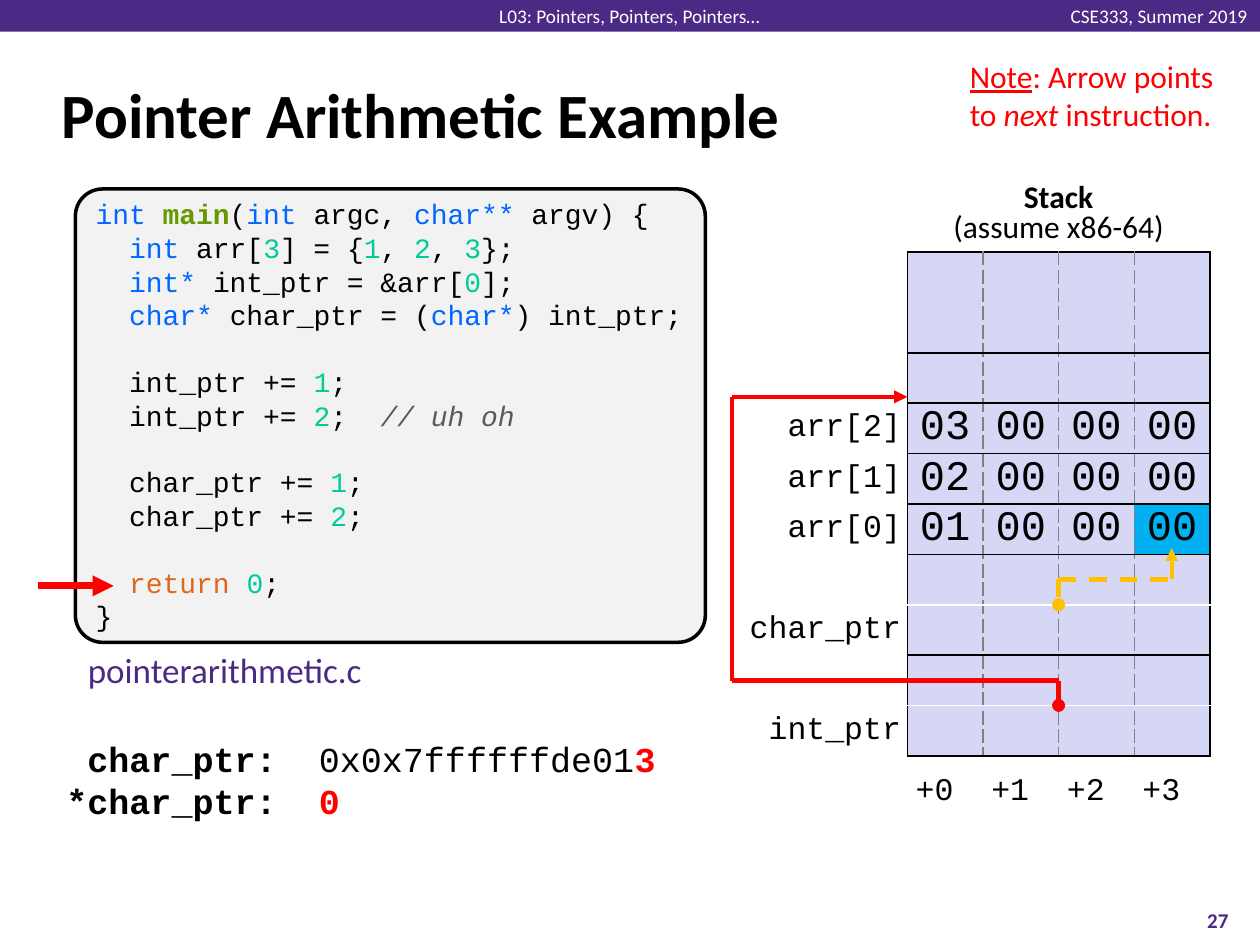
from lxml import etree
from pptx import Presentation
from pptx.dml.color import RGBColor
from pptx.enum.dml import MSO_LINE
from pptx.enum.shapes import MSO_CONNECTOR, MSO_SHAPE
from pptx.enum.text import MSO_ANCHOR, PP_ALIGN
from pptx.oxml.ns import qn
from pptx.util import Cm, Pt

LEFT, CENTER, RIGHT = PP_ALIGN.LEFT, PP_ALIGN.CENTER, PP_ALIGN.RIGHT
TOP, MIDDLE = MSO_ANCHOR.TOP, MSO_ANCHOR.MIDDLE
STRAIGHT, DASH = MSO_CONNECTOR.STRAIGHT, MSO_LINE.DASH
RECTANGLE, ROUNDED = MSO_SHAPE.RECTANGLE, MSO_SHAPE.ROUNDED_RECTANGLE

SANS, MONO = "Calibri", "Courier New"
COLORS = {
    "purple": "4B2A85", "white": "FFFFFF", "black": "000000", "red": "FF0000",
    "amber": "FFC000", "panel": "F2F2F2", "cell": "D6D6F5", "target": "00B0F0",
    "gray": "808080", "type": "0066FF", "function": "669900",
    "number": "00CC99", "comment": "5A5A5A", "keyword": "E2661A",
}
STYLES = {
    "function": {"bold": True}, "comment": {"italic": True},
    "bold": {"bold": True}, "italic": {"italic": True},
    "underline": {"underline": True}, "result": {"bold": True},
}
STYLE_COLORS = {"result": "red"}

TITLE = "Pointer Arithmetic Example"
CODE = [
    [("int ", "type"), ("main", "function"), "(", ("int ", "type"), "argc, ",
     ("char** ", "type"), "argv) {"],
    ["  ", ("int ", "type"), "arr[", ("3", "number"), "] = {", ("1", "number"), ", ",
     ("2", "number"), ", ", ("3", "number"), "};"],
    ["  ", ("int* ", "type"), "int_ptr = &arr[", ("0", "number"), "];"],
    ["  ", ("char* ", "type"), "char_ptr = (", ("char*", "type"), ") int_ptr;"],
    ["  int_ptr += ", ("1", "number"), ";"],
    ["  int_ptr += ", ("2", "number"), ";  ", ("// uh oh", "comment")],
    ["  char_ptr += ", ("1", "number"), ";"],
    ["  char_ptr += ", ("2", "number"), ";"],
    ["  ", ("return ", "keyword"), ("0", "number"), ";"],
    ["}"],
]
SECTION_STARTS = (4, 6, 8)
STACK = [
    ("", []),
    ("", []),
    ("arr[2]", ["03", "00", "00", "00"]),
    ("arr[1]", ["02", "00", "00", "00"]),
    ("arr[0]", ["01", "00", "00", "00"]),
    ("", []),
    ("char_ptr", []),
    ("", []),
    ("int_ptr", []),
]
POINTER_TOP_ROWS = (5, 7)
TARGET_CELL = (4, 4)

TEXT_BOXES = [
    dict(at=(21.29, 0.08, 4.11, 0.48), lines=[["CSE333, Summer 2019"]], size=11,
         color="white", align=RIGHT, anchor=MIDDLE, wrap=False, inset=0),
    dict(at=(9.75, 0.08, 5.89, 0.48), lines=[["L03: Pointers, Pointers, Pointers…"]], size=11,
         color="white", align=CENTER, anchor=MIDDLE, wrap=False, inset=0),
    dict(at=(23.7, 18.03, 1.7, 1.02), lines=[[("27", "bold")]], size=12,
         color="purple", align=CENTER, anchor=MIDDLE),
    dict(at=(18.29, 3.58, 6.1, 1.5), lines=[[("Stack", "bold")], ["(assume x86-64)"]],
         size=18, align=CENTER, spacing=0.8),
    dict(at=(1.09, 14.73, 12.45, 1.96), size=20, font=MONO,
         lines=[[(" char_ptr:", "bold"), "  0x0x7ffffffde01", ("3", "result")],
                [("*char_ptr:  ", "bold"), ("0", "result")]]),
    dict(at=(19.3, 1.02, 5.84, 1.8), size=18, color="red",
         lines=[[("Note", "underline"), ": Arrow points to ", ("next", "italic"),
                 " instruction."]]),
    dict(at=(1.52, 12.95, 6.35, 1.12), lines=[["pointerarithmetic.c"]], size=20,
         color="purple"),
    dict(at=(18.21, 15.37, 5.87, 1.02), lines=[["+0  +1  +2  +3"]], size=18, font=MONO,
         wrap=False),
]
ARROWS = [
    ((21.34, 11.68), (21.34, 12.19), "amber", 2.5, True, "oval"),
    ((21.34, 11.68), (23.62, 11.68), "amber", 2.5, True, None),
    ((23.62, 11.68), (23.62, 11.05), "amber", 2.5, True, "triangle"),
    ((0.76, 11.81), (2.29, 11.81), "red", 4, False, "triangle"),
    ((21.34, 13.72), (21.34, 14.22), "red", 2.5, False, "oval"),
    ((14.75, 13.72), (21.34, 13.72), "red", 2.5, False, None),
    ((14.75, 8), (18.29, 8), "red", 2.5, False, "triangle"),
    ((14.75, 8), (14.75, 13.72), "red", 2.5, False, None),
]


def rgb(name):
    return RGBColor.from_string(COLORS[name])


def write(frame, lines, size, font=SANS, color="black", align=LEFT, spacing=None):
    for index, line in enumerate(lines):
        para = frame.add_paragraph() if index else frame.paragraphs[0]
        para.alignment = align
        para.line_spacing = spacing
        para.font.name, para.font.size = font, Pt(size)
        for part in line:
            text, style = (part, None) if isinstance(part, str) else part
            span = para.add_run()
            span.text = text
            shade = STYLE_COLORS.get(style, style)
            span.font.color.rgb = rgb(shade if shade in COLORS else color)
            for name, value in STYLES.get(style, {}).items():
                setattr(span.font, name, value)


def add_text(page, at, lines, size, anchor=TOP, wrap=True, inset=0.13, **look):
    frame = page.shapes.add_textbox(*map(Cm, at)).text_frame
    frame.word_wrap = wrap
    frame.vertical_anchor = anchor
    frame.margin_top = frame.margin_bottom = Cm(inset)
    write(frame, lines, size, **look)


def add_box(page, kind, at, fill):
    box = page.shapes.add_shape(kind, *map(Cm, at))
    box.shadow.inherit = False
    box.fill.solid()
    box.fill.fore_color.rgb = rgb(fill)
    box.line.fill.background()
    return box


def add_code(page):
    box = add_box(page, ROUNDED, (1.52, 3.81, 12.7, 9.14), "panel")
    box.adjustments[0] = 0.06
    box.line.color.rgb = rgb("black")
    box.line.width = Pt(2)
    frame = box.text_frame
    frame.word_wrap = True
    frame.vertical_anchor = TOP
    frame.margin_top, frame.margin_bottom = 0, Cm(0.13)
    write(frame, CODE, 16, MONO)
    for index in SECTION_STARTS:
        frame.paragraphs[index].space_before = Pt(19)


def set_borders(cell, borders):
    properties = cell._tc.get_or_add_tcPr()
    for index, (side, color, dash) in enumerate(borders):
        line = etree.Element(qn(f"a:ln{side}"), w=str(Pt(1)))
        fill = etree.SubElement(line, qn("a:solidFill"))
        etree.SubElement(fill, qn("a:srgbClr"), val=COLORS[color])
        etree.SubElement(line, qn("a:prstDash"), val=dash)
        properties.insert(index, line)


def add_stack(page):
    label_width, byte_width, row_height = Cm(3.3), Cm(6.1) // 4, Cm(10.16) // 10
    table = page.shapes.add_table(len(STACK), 5, Cm(14.99), Cm(5.08),
                                  label_width + 4 * byte_width, 10 * row_height).table
    table.first_row = table.horz_banding = False
    for index, column in enumerate(table.columns):
        column.width = byte_width if index else label_width
    for row, (label, values) in enumerate(STACK):
        table.rows[row].height = row_height if row else 2 * row_height
        for col, text in enumerate([label] + (values or [""] * 4)):
            cell = table.cell(row, col)
            cell.vertical_anchor = MIDDLE
            cell.margin_left = Cm(0.13 if col else 0)
            cell.margin_right = Cm(0.13)
            cell.margin_top = cell.margin_bottom = 0
            write(cell.text_frame, [[text] if text else []], 24 if col else 18, MONO,
                  align=CENTER if col else RIGHT)
            if col == 0:
                cell.fill.background()
                set_borders(cell, [("R", "black", "solid")])
                continue
            cell.fill.solid()
            cell.fill.fore_color.rgb = rgb("target" if (row, col) == TARGET_CELL else "cell")
            inner = ("gray", "lgDash")
            outer = ("black", "solid")
            set_borders(cell, [
                ("L", *(outer if col == 1 else inner)),
                ("R", *(outer if col == 4 else inner)),
                ("T", "white" if row - 1 in POINTER_TOP_ROWS else "black", "solid"),
                ("B", "white" if row in POINTER_TOP_ROWS else "black", "solid"),
            ])


def add_arrow(page, start, end, color, width, dashed, tip):
    arrow = page.shapes.add_connector(STRAIGHT, *map(Cm, start + end))
    arrow.line.color.rgb = rgb(color)
    arrow.line.width = Pt(width)
    if dashed:
        arrow.line.dash_style = DASH
    if tip:
        etree.SubElement(arrow.line._get_or_add_ln(), qn("a:tailEnd"), type=tip)
    etree.SubElement(arrow._element.spPr, qn("a:effectLst"))


def main():
    deck = Presentation()
    deck.slide_width, deck.slide_height = Cm(25.4), Cm(19.05)
    page = deck.slides.add_slide(deck.slide_layouts[5])
    title = page.shapes.title
    title.left, title.top, title.width, title.height = map(Cm, (0.99, 1.22, 23.34, 2.11))
    title.text_frame.vertical_anchor = MIDDLE
    write(title.text_frame, [[(TITLE, "bold")]], 36)
    add_box(page, RECTANGLE, (0, 0, 25.4, 0.64), "purple")
    add_code(page)
    add_stack(page)
    for text_box in TEXT_BOXES:
        add_text(page, **text_box)
    for arrow in ARROWS:
        add_arrow(page, *arrow)
    deck.save("out.pptx")


if __name__ == "__main__":
    main()
